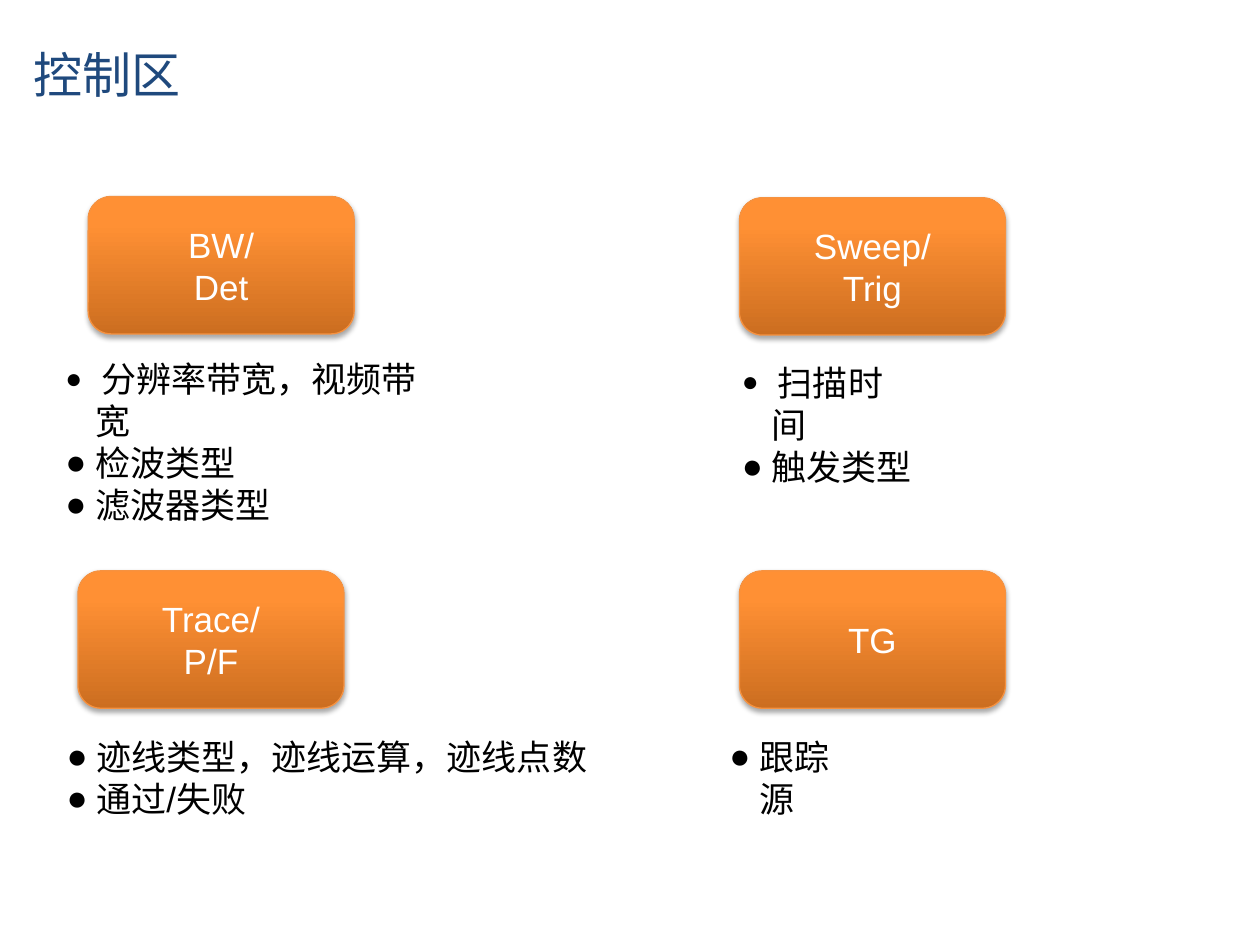
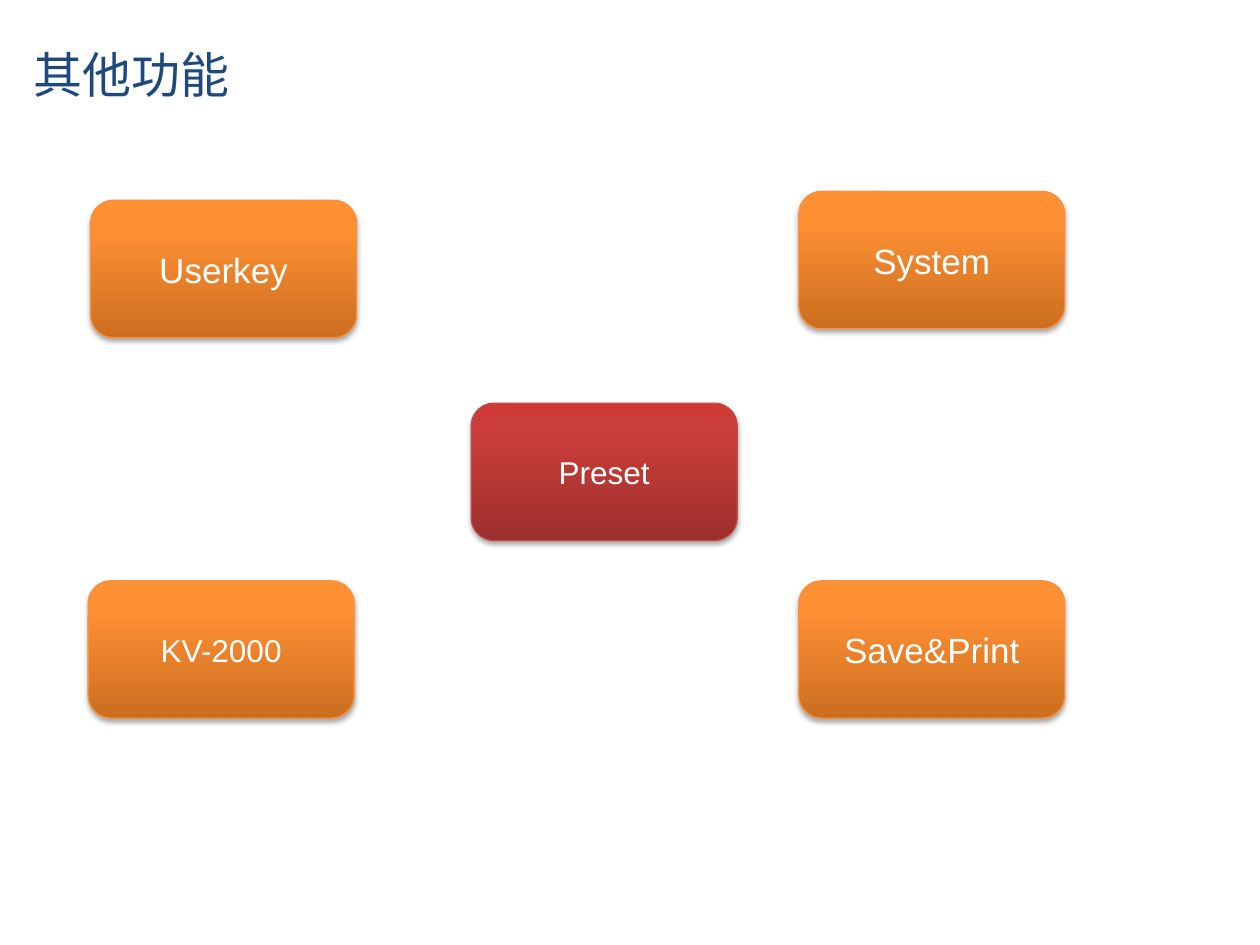
"""Build two slides on the control keys and other functions of an analyser."""
from copy import deepcopy

from lxml import etree
from pptx import Presentation
from pptx.dml.color import RGBColor
from pptx.enum.shapes import MSO_SHAPE
from pptx.enum.text import MSO_ANCHOR, PP_ALIGN
from pptx.oxml.ns import qn
from pptx.util import Pt

ROUNDED = MSO_SHAPE.ROUNDED_RECTANGLE
MIDDLE = MSO_ANCHOR.MIDDLE
CENTER = PP_ALIGN.CENTER

LATIN = "Arial"
CHINESE = "Noto Sans CJK SC"
COLORS = {
    "title": "1F497D", "body": "000000", "key": "FFFFFF", "shadow": "000000",
    "orange_line": "F69240", "red_line": "BF4C48",
}
GRADIENTS = {
    "orange": ["CC6E20", "FF9034", "FF9136"],
    "red": ["9C2F2D", "CB3E3A", "CE3B37"],
}
STOPS = [0, 0.8, 1]
KEY_WIDTH, KEY_HEIGHT = 152, 78.5
BULLET_INDENT = 17


def add_run(para, text, size, color, font=LATIN):
    """Add one run with its Latin and Chinese fonts."""
    span = para.add_run()
    span.text = text
    span.font.size = Pt(size)
    span.font.name = font
    span.font.color.rgb = RGBColor.from_string(COLORS[color])
    etree.SubElement(span._r.get_or_add_rPr(), qn("a:ea"), typeface=CHINESE)


def add_key(page, left, top, lines, size=20, tone="orange"):
    """Add one glossy key with centred lines of text."""
    key = page.shapes.add_shape(ROUNDED, Pt(left), Pt(top), Pt(KEY_WIDTH), Pt(KEY_HEIGHT))
    key.fill.gradient()
    key.fill.gradient_angle = 90
    stop_list = key._element.spPr.find(".//" + qn("a:gsLst"))
    stop_list.append(deepcopy(stop_list[0]))
    for stop, position, color in zip(key.fill.gradient_stops, STOPS, GRADIENTS[tone]):
        stop.position = position
        stop.color.rgb = RGBColor.from_string(color)
    key.line.color.rgb = RGBColor.from_string(COLORS[tone + "_line"])
    key.line.width = Pt(0.75)
    key.shadow.inherit = False
    effects = key._element.spPr.find(qn("a:effectLst"))
    shadow = etree.SubElement(effects, qn("a:outerShdw"), blurRad=str(Pt(3.1)),
                              dist=str(Pt(1.8)), dir="5400000", rotWithShape="0")
    shade = etree.SubElement(shadow, qn("a:srgbClr"), val=COLORS["shadow"])
    etree.SubElement(shade, qn("a:alpha"), val="35000")
    frame = key.text_frame
    frame.word_wrap = True
    frame.vertical_anchor = MIDDLE
    for index, line in enumerate(lines):
        para = frame.add_paragraph() if index else frame.paragraphs[0]
        para.alignment = CENTER
        add_run(para, line, size, "key")


deck = Presentation()
deck.slide_width, deck.slide_height = Pt(720), Pt(540)

pages = []
for title in ["控制区", "其他功能"]:
    page = deck.slides.add_slide(deck.slide_layouts[6])
    box = page.shapes.add_textbox(Pt(12.24), Pt(18), Pt(581.76), Pt(48.24))
    box.text_frame.word_wrap = True
    box.text_frame.vertical_anchor = MIDDLE
    add_run(box.text_frame.paragraphs[0], title, 28, "title", CHINESE)
    pages.append(page)
control_page, other_page = pages

add_key(control_page, 50.4, 112.3, ["BW/", "Det"])
add_key(control_page, 44.6, 326.2, ["Trace/", "P/F"])
add_key(control_page, 422.6, 113, ["Sweep/", "Trig"])
add_key(control_page, 422.6, 326.2, ["TG"])

notes = [
    (30.24, 200.9, 233.28, 79.9, True, ["分辨率带宽，视频带宽", "检波类型", "滤波器类型"]),
    (30.96, 416.9, 312.48, 74.9, False, ["迹线类型，迹线运算，迹线点数", "通过/失败"]),
    (416.9, 203, 112.32, 55.4, True, ["扫描时间", "触发类型"]),
    (409.7, 416.9, 90, 31.7, False, ["跟踪源"]),
]
for left, top, width, height, spaced, items in notes:
    box = control_page.shapes.add_textbox(Pt(left), Pt(top), Pt(width), Pt(height))
    frame = box.text_frame
    frame.word_wrap = True
    for index, item in enumerate(items):
        para = frame.add_paragraph() if index else frame.paragraphs[0]
        layout = para._p.get_or_add_pPr()
        layout.set("marL", str(Pt(BULLET_INDENT)))
        layout.set("indent", str(-Pt(BULLET_INDENT)))
        etree.SubElement(layout, qn("a:buFont"), typeface=LATIN)
        etree.SubElement(layout, qn("a:buChar"), char="●")
        if spaced and index == 0:
            add_run(para, " ", 16, "body")
        add_run(para, item, 20, "body")

add_key(other_page, 269.3, 230.4, ["Preset"], 18, "red")
add_key(other_page, 50.4, 331.9, ["KV-2000"], 18)
add_key(other_page, 51.8, 114.5, ["Userkey"])
add_key(other_page, 456.5, 109.4, ["System"])
add_key(other_page, 456.5, 331.9, ["Save&Print"])

deck.save("out.pptx")
